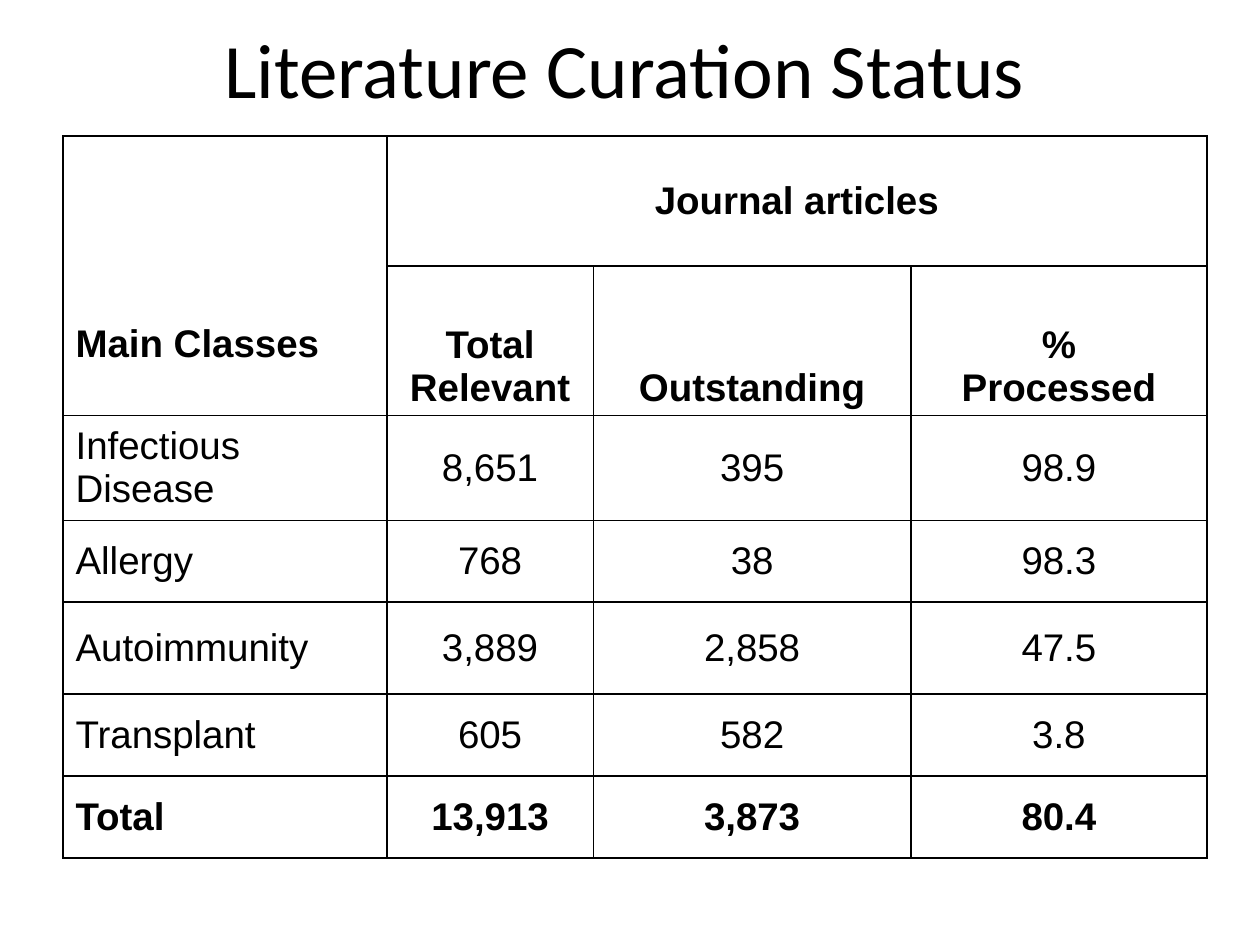
from lxml.etree import SubElement
from pptx import Presentation
from pptx.dml.color import RGBColor
from pptx.enum.text import MSO_ANCHOR as ANCHOR, PP_ALIGN as ALIGN
from pptx.oxml.ns import qn
from pptx.util import Inches, Pt

COLORS = {"text": "000000", "border": "000000"}
COL_WIDTHS = [2.57, 1.64, 2.52, 2.35]
ROW_HEIGHTS = [1.03, 1.19, 0.83, 0.65, 0.73, 0.65, 0.65]
ROWS = [
    ["Main Classes", "Journal articles", "", ""],
    ["", "Total Relevant", "Outstanding", "%\nProcessed"],
    ["Infectious Disease", "8,651", "395", "98.9"],
    ["Allergy", "768", "38", "98.3"],
    ["Autoimmunity", "3,889", "2,858", "47.5"],
    ["Transplant", "605", "582", "3.8"],
    ["Total", "13,913", "3,873", "80.4"],
]


def style_paragraph(p, font, size, align, bold=False):
    """Set the alignment and font of a paragraph."""
    p.alignment = align
    p.font.name = font
    p.font.size = Pt(size)
    p.font.bold = bold
    p.font.color.rgb = RGBColor.from_string(COLORS["text"])


def add_title(slide, text):
    """Add the centred slide title."""
    s = slide.shapes.add_textbox(Inches(0.33), 0, Inches(9.25), Inches(1.08))
    tf = s.text_frame
    tf.word_wrap = True
    tf.vertical_anchor = ANCHOR.MIDDLE
    tf.text = text
    style_paragraph(tf.paragraphs[0], "Calibri", 44, ALIGN.CENTER)


def set_borders(cell):
    """Draw a thin line on all four sides of a cell."""
    tc_pr = cell._tc.get_or_add_tcPr()
    for side in ("lnL", "lnR", "lnT", "lnB"):
        ln = SubElement(tc_pr, qn(f"a:{side}"), w=str(Pt(1)))
        fill = SubElement(ln, qn("a:solidFill"))
        SubElement(fill, qn("a:srgbClr"), val=COLORS["border"])


def fill_cell(cell, text, align, anchor, bold):
    """Write and style one table cell."""
    set_borders(cell)
    cell.fill.background()
    cell.vertical_anchor = anchor
    cell.text = text
    for p in cell.text_frame.paragraphs:
        style_paragraph(p, "Arial", 22, align, bold)


def add_status_table(slide):
    """Add the curation table with its two-level header."""
    table = slide.shapes.add_table(
        len(ROWS), len(COL_WIDTHS), Inches(0.5), Inches(1.08),
        Inches(sum(COL_WIDTHS)), Inches(sum(ROW_HEIGHTS))).table
    table.first_row = table.horz_banding = False
    for column, width in zip(table.columns, COL_WIDTHS):
        column.width = Inches(width)
    for row, height in zip(table.rows, ROW_HEIGHTS):
        row.height = Inches(height)
    for i, values in enumerate(ROWS):
        for j, text in enumerate(values):
            align = ALIGN.CENTER if j else ALIGN.LEFT
            anchor = ANCHOR.BOTTOM if i == 1 else ANCHOR.MIDDLE
            bold = i < 2 or i == len(ROWS) - 1
            fill_cell(table.cell(i, j), text, align, anchor, bold)
    corner = table.cell(0, 0)
    corner.vertical_anchor = ANCHOR.BOTTOM
    corner.margin_bottom = Inches(0.4)
    corner.merge(table.cell(1, 0))
    table.cell(0, 1).merge(table.cell(0, 3))


def main():
    """Build and save the slide."""
    prs = Presentation()
    prs.slide_width, prs.slide_height = Inches(10), Inches(7.5)
    slide = prs.slides.add_slide(prs.slide_layouts[6])
    add_status_table(slide)
    add_title(slide, "Literature Curation Status")
    prs.save("out.pptx")


if __name__ == "__main__":
    main()
